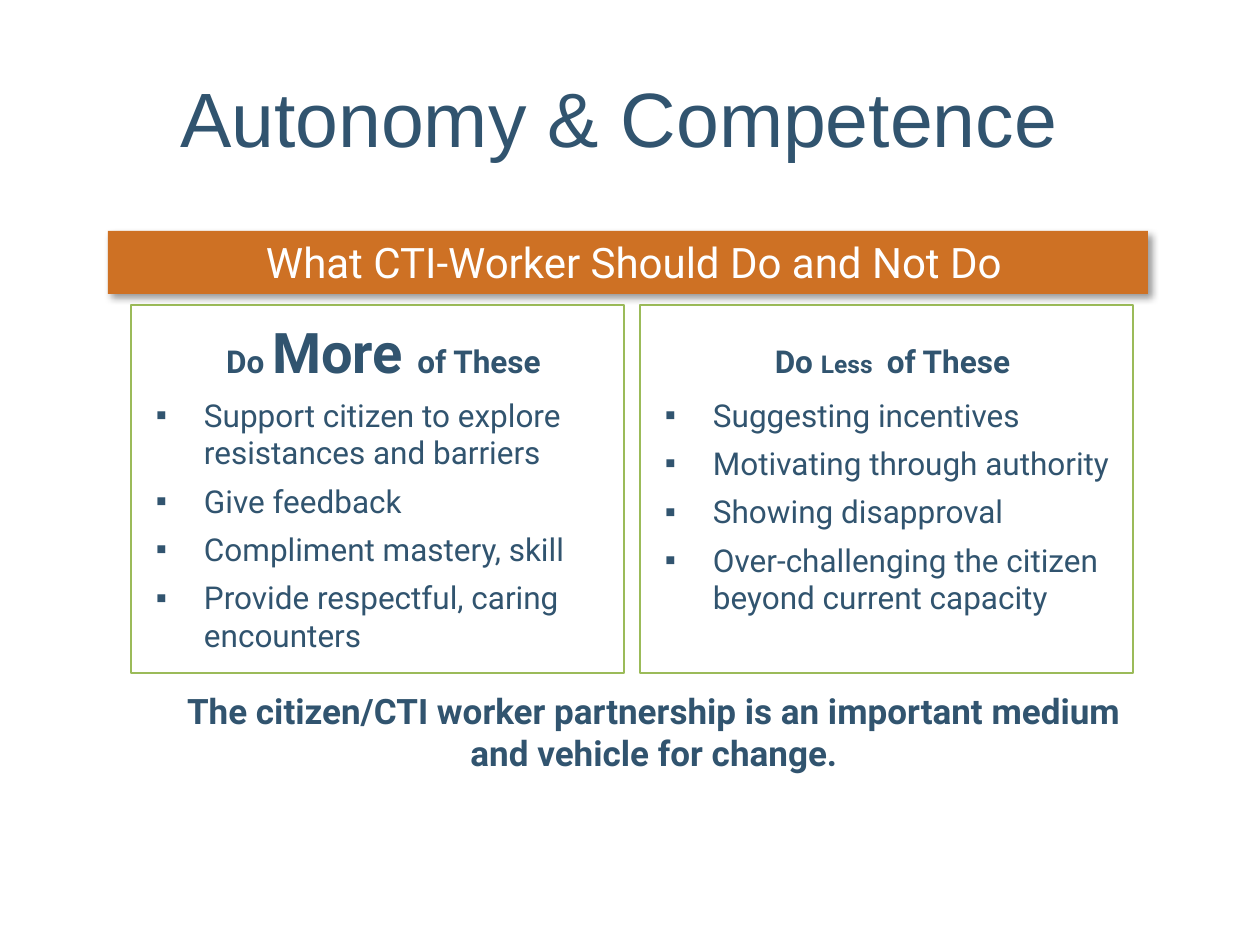
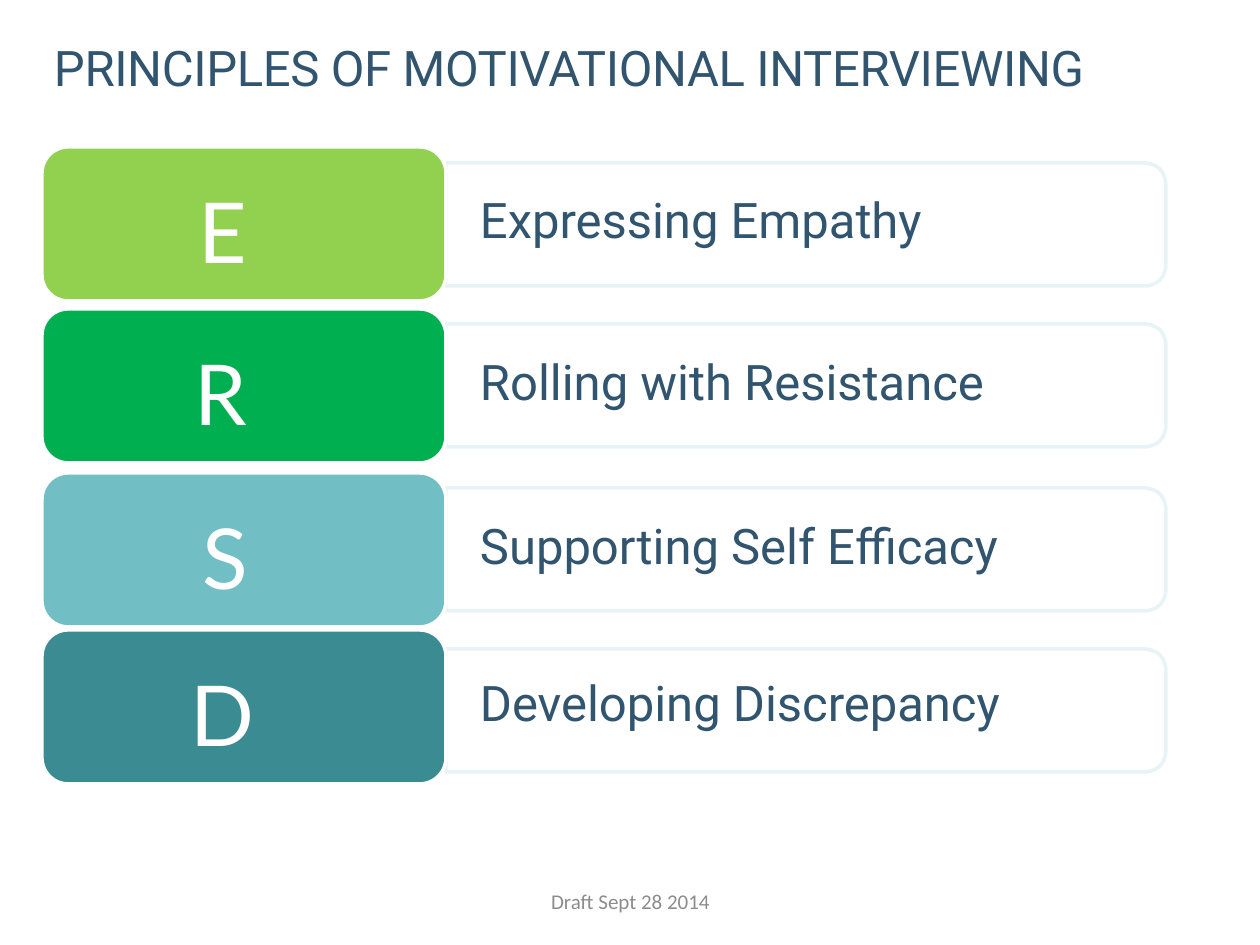
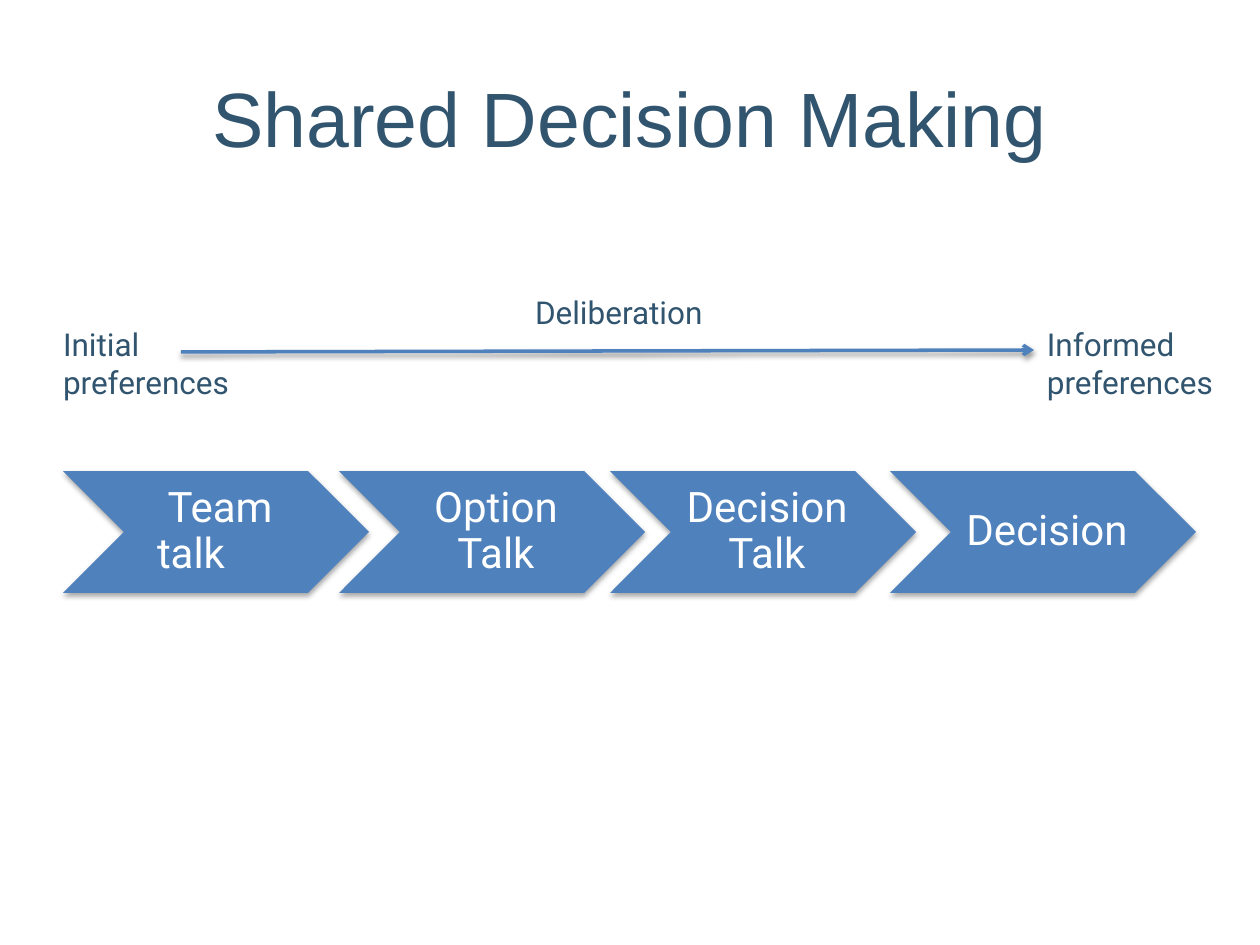
import math

from lxml import etree
from pptx import Presentation
from pptx import util as u
from pptx.dml.color import RGBColor
from pptx.enum import shapes, text
from pptx.oxml import ns

PX = 914400 / 126

NAVY = RGBColor(0x31, 0x54, 0x6F)
WHITE = RGBColor(0xFF, 0xFF, 0xFF)
BLACK = RGBColor(0x00, 0x00, 0x00)
ORANGE = RGBColor(0xCE, 0x71, 0x24)
OLIVE = RGBColor(0x9B, 0xBB, 0x59)
BLUE = RGBColor(0x4F, 0x81, 0xBD)
PALE = RGBColor(0xE7, 0xF3, 0xF4)
GRAY = RGBColor(0x8C, 0x8C, 0x8C)
LIME = RGBColor(0x92, 0xD0, 0x50)
GREEN = RGBColor(0x00, 0xAF, 0x50)
AQUA = RGBColor(0x71, 0xBE, 0xC5)
TEAL = RGBColor(0x3B, 0x8B, 0x92)

LEFT, CENTER = text.PP_ALIGN.LEFT, text.PP_ALIGN.CENTER
TOP, MIDDLE = text.MSO_ANCHOR.TOP, text.MSO_ANCHOR.MIDDLE
TITLE_BOX = (63, 38, 1134, 157)


def px(length):
    return u.Emu(round(length * PX))


def emu(box):
    return [px(length) for length in box]


def add_child(parent, tag, **attributes):
    child = etree.SubElement(parent, ns.qn(tag))
    for name, value in attributes.items():
        child.set(name, str(value))
    return child


def set_frame(shape, insets=(13, 6, 13, 6), anchor=TOP):
    frame = shape.text_frame
    frame.word_wrap = True
    frame.auto_size = text.MSO_AUTO_SIZE.NONE
    frame.vertical_anchor = anchor
    (frame.margin_left, frame.margin_top,
     frame.margin_right, frame.margin_bottom) = emu(insets)
    return frame


def write(frame, content, size=18, font="Roboto", color=NAVY, bold=False,
          align=LEFT, spacing=None, before=0, indent=0, bullet=None,
          tracking=0, new=False):
    """Write one paragraph; content is a string or a list of (text, size)."""
    para = frame.add_paragraph() if new else frame.paragraphs[0]
    para.alignment = align
    para.space_before = u.Pt(before)
    if spacing:
        para.line_spacing = spacing
    properties = para._p.get_or_add_pPr()
    if indent:
        properties.set("marL", str(px(indent)))
    if bullet:
        properties.set("indent", str(-px(indent)))
        add_child(properties, "a:buFont", typeface="Arial")
        add_child(properties, "a:buChar", char=bullet)
    spans = [(content, size)] if isinstance(content, str) else content
    for words, points in spans:
        span = para.add_run()
        span.text = words
        span.font.size = u.Pt(points)
        span.font.name = font
        span.font.bold = bold
        span.font.color.rgb = color
        if tracking:
            span._r.get_or_add_rPr().set("spc", str(round(tracking * 100)))


def add_label(page, box, content, insets=(13, 6, 13, 6), anchor=TOP, **style):
    label = page.shapes.add_textbox(*emu(box))
    write(set_frame(label, insets, anchor), content, **style)


def paint(shape, fill=None, line=None, width=1):
    shape.shadow.inherit = False
    if fill is None:
        shape.fill.background()
    else:
        shape.fill.solid()
        shape.fill.fore_color.rgb = fill
    if line is None:
        shape.line.fill.background()
    else:
        shape.line.color.rgb = line
        shape.line.width = u.Pt(width)


def add_box(page, kind, box, **look):
    shape = page.shapes.add_shape(kind, *emu(box))
    paint(shape, **look)
    return shape


def cast_shadow(shape, opacity, blur, distance, angle):
    properties = shape._element.spPr
    effects = properties.find(ns.qn("a:effectLst"))
    if effects is None:
        effects = add_child(properties, "a:effectLst")
    shadow = add_child(effects, "a:outerShdw", blurRad=u.Pt(blur),
                       dist=u.Pt(distance), dir=angle * 60000,
                       algn="tl", rotWithShape=0)
    tint = add_child(shadow, "a:srgbClr", val=BLACK)
    add_child(tint, "a:alpha", val=opacity * 1000)


def add_page(deck, title, box=TITLE_BOX, size=44, font="Arial", align=CENTER,
             insets=(13, 6, 13, 6), anchor=MIDDLE, **style):
    page = deck.slides.add_slide(deck.slide_layouts[5])
    holder = page.shapes.title
    holder.left, holder.top, holder.width, holder.height = emu(box)
    write(set_frame(holder, insets, anchor), title, size=size, font=font,
          align=align, **style)
    return page


def add_advice(page, box, heading, items):
    panel = add_box(page, shapes.MSO_SHAPE.RECTANGLE, box, line=OLIVE, width=1.5)
    frame = set_frame(panel, (25, 13, 13, 13))
    write(frame, heading, bold=True, align=CENTER)
    for item in items:
        write(frame, item, before=6, indent=48, bullet="▪", new=True)


def add_banner(page, box, words):
    banner = add_box(page, shapes.MSO_SHAPE.RECTANGLE, box, fill=ORANGE)
    cast_shadow(banner, 40, 4, 3, 45)
    write(set_frame(banner, (25, 6, 13, 6)), words, size=24, color=WHITE,
          align=CENTER)


def build_autonomy(deck):
    page = add_page(deck, "Autonomy & Competence ")
    columns = [
        ([("Do ", 18), ("More ", 32), ("of These", 18)],
         ["Support citizen to explore resistances and barriers",
          "Give feedback",
          "Compliment mastery, skill",
          "Provide respectful, caring encounters"]),
        ([("Do ", 18), ("Less", 14), (" ", 32), ("of These", 18)],
         ["Suggesting incentives",
          "Motivating through authority",
          "Showing disapproval",
          "Over-challenging the citizen beyond current capacity"]),
    ]
    for index, (heading, items) in enumerate(columns):
        add_advice(page, (131 + 509 * index, 305, 493, 368), heading, items)
    add_label(page, (154, 683, 1000, 97),
              "The citizen/CTI worker partnership is an important medium "
              "and vehicle for change.", size=20, bold=True, align=CENTER)
    add_banner(page, (108, 231, 1040, 63), "What CTI-Worker Should Do and Not Do")


def add_right_rounded_panel(page, box, radius=20):
    left, top, width, height = box
    right, bottom = left + width, top + height
    arc = [math.radians(step * 15) for step in range(7)]
    upper = [(right - radius + radius * math.sin(a),
              top + radius - radius * math.cos(a)) for a in arc]
    lower = [(x, top + bottom - y) for x, y in reversed(upper)]
    outline = page.shapes.build_freeform(left, top, scale=PX)
    outline.add_line_segments(upper + lower + [(left, bottom)], close=True)
    paint(outline.convert_to_shape(), line=PALE, width=2)


def add_principle(page, box, panel_top, letter, letter_left, words, color):
    """Draw a lettered badge, filling the box, with its panel on the right."""
    left, top, width, height = box
    right = left + width
    add_right_rounded_panel(page, (right, panel_top, 720, 123))
    add_label(page, (right, top + 42, 698, 59), words, insets=(0, 0, 0, 0),
              size=28, indent=34)
    badge = add_box(page, shapes.MSO_SHAPE.ROUNDED_RECTANGLE, box, fill=color,
                    line=WHITE, width=2)
    badge.adjustments[0] = 0.17
    add_label(page, (left + letter_left, top + 33, 100, 88), letter,
              insets=(0, 0, 0, 0), size=48, font="Lato", color=WHITE, indent=1)


def build_principles(deck):
    page = add_page(deck, "PRINCIPLES OF MOTIVATIONAL INTERVIEWING",
                    box=(53, 37, 1167, 59), size=28, font="Roboto", align=LEFT,
                    insets=(0, 0, 0, 0), anchor=TOP, indent=1, tracking=-0.2)
    principles = [
        (147, 163, "E", 156, "Expressing Empathy", LIME),
        (309, 324, "R", 152, "Rolling with Resistance", GREEN),
        (473, 488, "S", 160, "Supporting Self Efficacy", AQUA),
        (630, 649, "D", 148, "Developing Discrepancy", TEAL),
    ]
    for top, *details in principles:
        add_principle(page, (42, top, 404, 154), *details)
    add_label(page, (431, 876, 399, 50), "Draft Sept 28 2014", anchor=MIDDLE,
              size=12, font="Calibri", color=GRAY, align=CENTER)


def add_stage(page, box, words):
    chevron = add_box(page, shapes.MSO_SHAPE.CHEVRON, box, fill=BLUE)
    cast_shadow(chevron, 35, 3.1, 1.8, 90)
    write(set_frame(chevron, (13, 5, 5, 5), MIDDLE), words, size=24,
          color=WHITE, align=CENTER, spacing=0.9)


def add_arrow(page, start, end):
    arrow = page.shapes.add_connector(shapes.MSO_CONNECTOR.STRAIGHT,
                                      *emu(start + end))
    arrow.line.color.rgb = BLUE
    arrow.line.width = u.Pt(2)
    add_child(arrow.line._get_or_add_ln(), "a:tailEnd", type="arrow")
    cast_shadow(arrow, 38, 3.1, 1.6, 90)


def build_decision(deck):
    page = add_page(deck, "Shared Decision Making")
    stages = [(63, "Team talk\t"), (339, "Option Talk"),
              (610, "Decision Talk"), (890, "Decision")]
    for left, words in stages:
        add_stage(page, (left, 471, 306, 122), words)
    add_arrow(page, (181, 352), (1034, 350))
    add_label(page, (50, 319, 208, 89), "Initial preferences")
    add_label(page, (1034, 319, 213, 89), "Informed preferences")
    add_label(page, (522, 287, 221, 50), "Deliberation")


def main():
    deck = Presentation()
    deck.slide_width, deck.slide_height = px(1260), px(945)
    build_autonomy(deck)
    build_principles(deck)
    build_decision(deck)
    deck.save("out.pptx")


if __name__ == "__main__":
    main()
